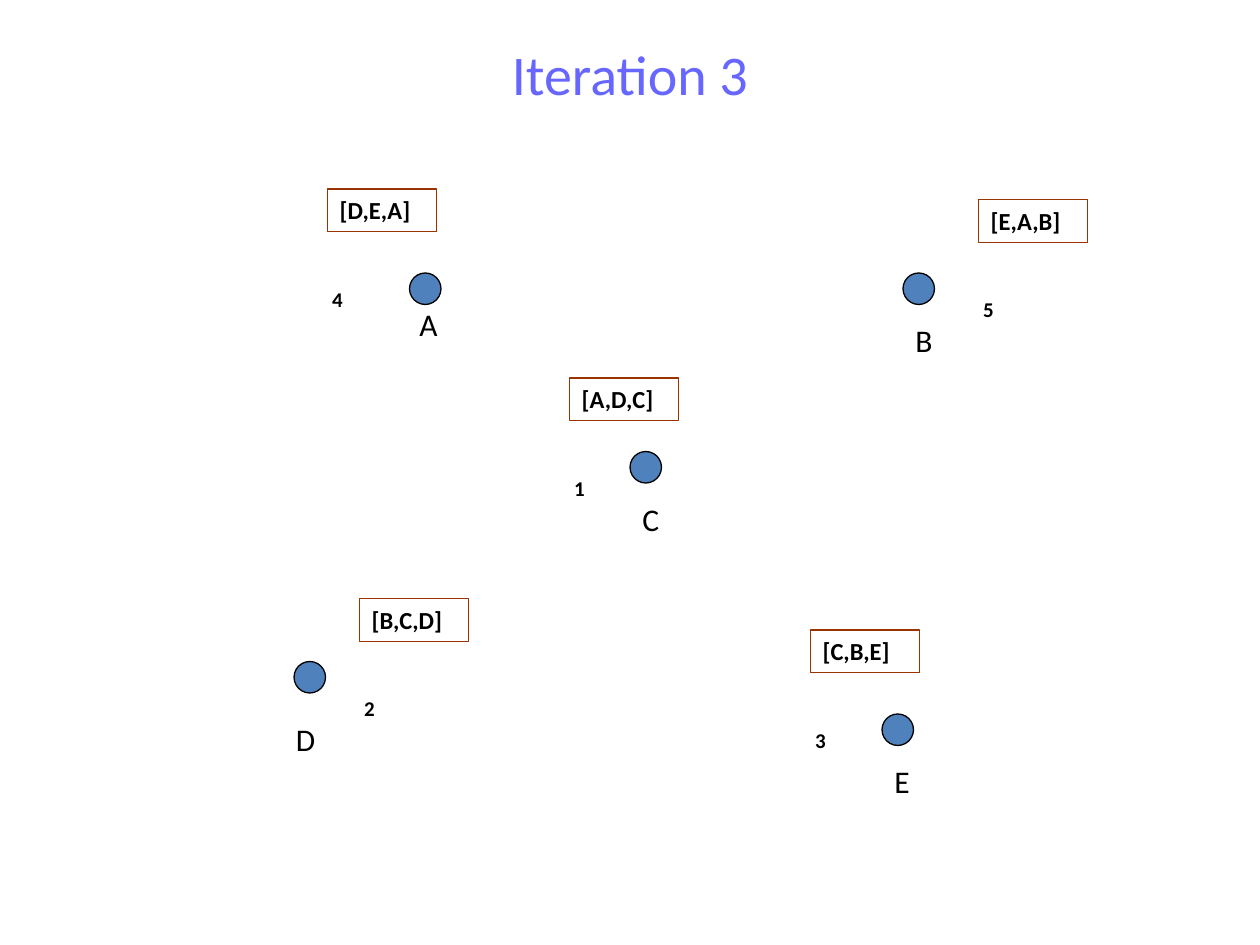
from pptx import Presentation
from pptx import util as u
from pptx.dml.color import RGBColor
from pptx.enum import shapes, text

Pt = u.Pt


def rgb(value):
    return RGBColor.from_string(value)


def add_label(parent, words, box, size, bold=False):
    """Add an unwrapped, left-aligned text box and return it."""
    sp = parent.add_textbox(*map(Pt, box))
    tf = sp.text_frame
    tf.word_wrap = False
    tf.auto_size = text.MSO_AUTO_SIZE.SHAPE_TO_FIT_TEXT
    p = tf.paragraphs[0]
    p.alignment = text.PP_ALIGN.LEFT
    r = p.add_run()
    r.text = words
    for name, value in {"name": "Calibri", "size": Pt(size), "bold": bold}.items():
        setattr(r.font, name, value)
    r.font.color.rgb = rgb("000000")
    return sp


prs = Presentation()
prs.slide_width, prs.slide_height = Pt(720), Pt(540)
s = prs.slides.add_slide(prs.slide_layouts[5])

title = s.shapes.title
for name, value in {"left": 36, "top": 18, "width": 648, "height": 48}.items():
    setattr(title, name, Pt(value))
tf = title.text_frame
tf.vertical_anchor = text.MSO_ANCHOR.MIDDLE
p = tf.paragraphs[0]
p.alignment = text.PP_ALIGN.CENTER
r = p.add_run()
r.text = "Iteration 3"
for name, value in {"name": "Calibri", "size": Pt(32)}.items():
    setattr(r.font, name, value)
r.font.color.rgb = rgb("6767FF")

# name, node position, name position, list, list position, step
nodes = [
    ("A", (234, 156), (232.5, 171), "[D,E,A]", (187, 108), "4"),
    ("B", (516, 156), (516, 180), "[E,A,B]", (559, 114), "5"),
    ("C", (360, 258), (360, 282), "[A,D,C]", (325.3, 216), "1"),
    ("D", (168, 378), (162, 408), "[B,C,D]", (205.3, 342), "2"),
    ("E", (504, 408), (504, 432), "[C,B,E]", (463, 360), "3"),
]

for name, node_at, name_at, members, (x, y), step in nodes:
    node = s.shapes.add_shape(shapes.MSO_SHAPE.OVAL, *map(Pt, (*node_at, 18, 18)))
    node.shadow.inherit = False
    node.fill.solid()
    node.fill.fore_color.rgb = rgb("4F81BD")
    node.line.color.rgb = rgb("000000")
    node.line.width = Pt(0.75)

    add_label(s.shapes, name, (*name_at, 27, 29), 18)

    group = s.shapes.add_group_shape().shapes
    add_label(group, step, (x - 4.3, y + 52, 21, 21.8), 12, bold=True)
    frame = add_label(group, members, (x, y, 62.3, 24.5), 14, bold=True)
    frame.line.color.rgb = rgb("993300")
    frame.line.width = Pt(0.75)

prs.save("out.pptx")
